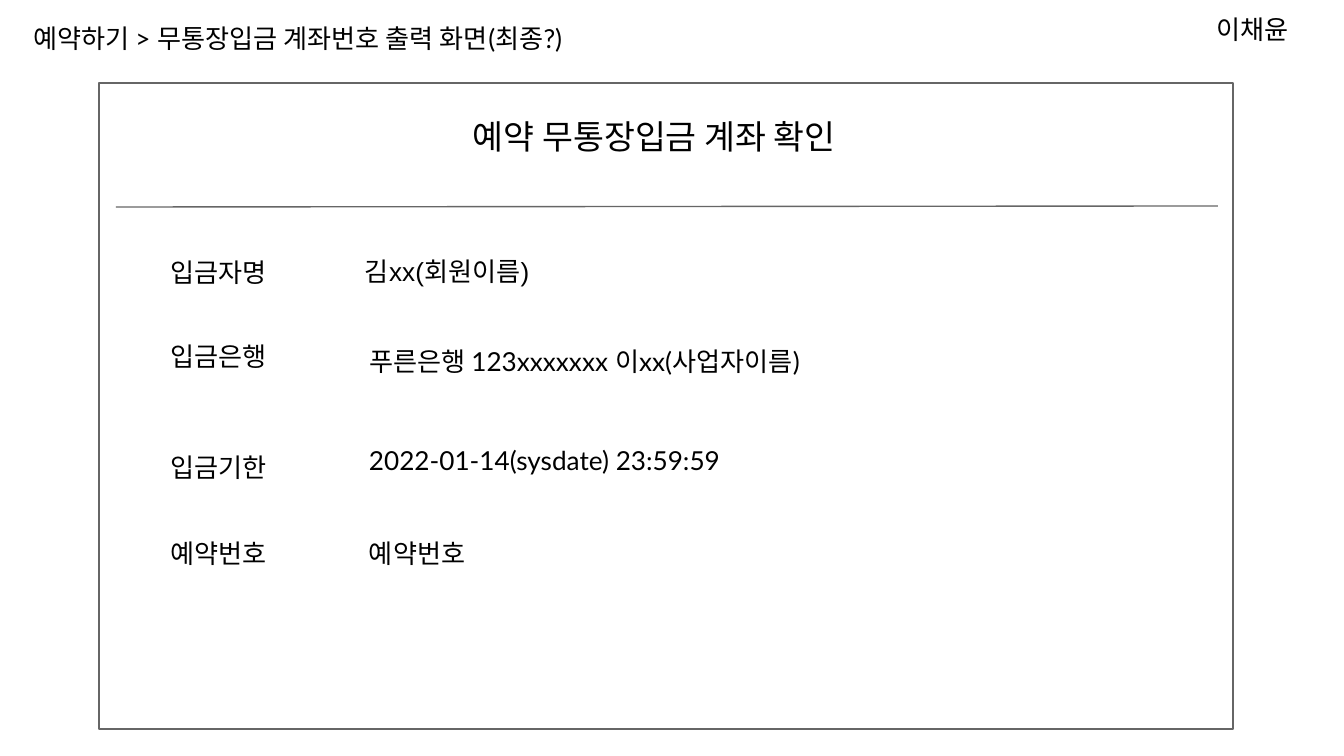
from lxml import etree
from pptx import Presentation
from pptx.dml.color import RGBColor
from pptx.enum.shapes import MSO_CONNECTOR, MSO_SHAPE
from pptx.enum.text import MSO_AUTO_SIZE
from pptx.oxml.ns import qn
from pptx.util import Pt

RECT = MSO_SHAPE.RECTANGLE
LINE = MSO_CONNECTOR.STRAIGHT
GROW = MSO_AUTO_SIZE.SHAPE_TO_FIT_TEXT
SCALE = 9144000 / 1344
INK, GRAY = "000000", "666666"
ROWS = [
    ("입금자명", 160, "김xx(회원이름)", 253, 159, 226, "Arial"),
    ("입금은행", 244, "푸른은행 123xxxxxxx 이xx(사업자이름)", 257, 249, 509, "Lato"),
    ("입금기한", 355, "2022-01-14(sysdate) 23:59:59", 257, 348, 425, "Lato"),
    ("예약번호", 441, "예약번호", 257, 441, 425, "Lato"),
]


def px(num):
    """Turn pixels into EMU."""
    return round(num * SCALE)


def color(target, code):
    """Set a colour from a hex string."""
    target.rgb = RGBColor.from_string(code)


def stroke(line):
    """Style a thin gray line."""
    color(line.fill.fore_color, GRAY)
    line.width = Pt(0.75)


def add_text(slide, text, left, top, width, size=14, font="Lato"):
    """Place one line of text in a box."""
    tall = 67 if size > 14 else 59
    box = slide.shapes.add_textbox(px(left), px(top), px(width), px(tall))
    frame = box.text_frame
    frame.word_wrap = True
    frame.auto_size = GROW
    frame.margin_left = frame.margin_right = px(13)
    frame.margin_top = frame.margin_bottom = px(13)
    frame.text = text
    style = frame.paragraphs[0].runs[0].font
    style.name, style.size = font, Pt(size)
    color(style.fill.fore_color, INK) if style.fill.solid() else color(style.color, INK)


def add_header(slide, left, top, width):
    """Place the page path and the author."""
    add_text(slide, "예약하기 > 무통장입금 계좌번호 출력 화면(최종?)", left + 20, top + 9, 835)
    add_text(slide, "이채윤", left + width - 141, top, 141)


def add_rule(slide, left, top, right, end):
    """Draw the rule under the card title."""
    rule = slide.shapes.add_connector(LINE, px(left), px(top), px(right), px(end))
    stroke_line = rule.line
    stroke_line.fill.solid()
    stroke(stroke_line)
    etree.SubElement(rule._element.spPr, qn("a:effectLst"))


def add_card(slide, left, top, width, height):
    """Draw the account card with its title and rows."""
    card = slide.shapes.add_shape(RECT, px(left), px(top), px(width), px(height))
    card.shadow.inherit = False
    card.fill.background()
    card.line.fill.solid()
    stroke(card.line)
    add_text(slide, "예약 무통장입금 계좌 확인", left + 361, top + 20, 425, 18)
    add_rule(slide, left + 17, top + 124, left + width - 15, top + 123)
    for label, drop, value, inset, fall, wide, font in ROWS:
        add_text(slide, label, left + 58, top + drop, 164)
        add_text(slide, value, left + inset, top + fall, wide, font=font)


def main():
    """Build and save the slide."""
    deck = Presentation()
    deck.slide_width, deck.slide_height = px(1344), px(756)
    slide = deck.slides.add_slide(deck.slide_layouts[6])
    add_header(slide, 0, 0, 1344)
    add_card(slide, 99, 83, 1134, 646)
    deck.save("out.pptx")


if __name__ == "__main__":
    main()
